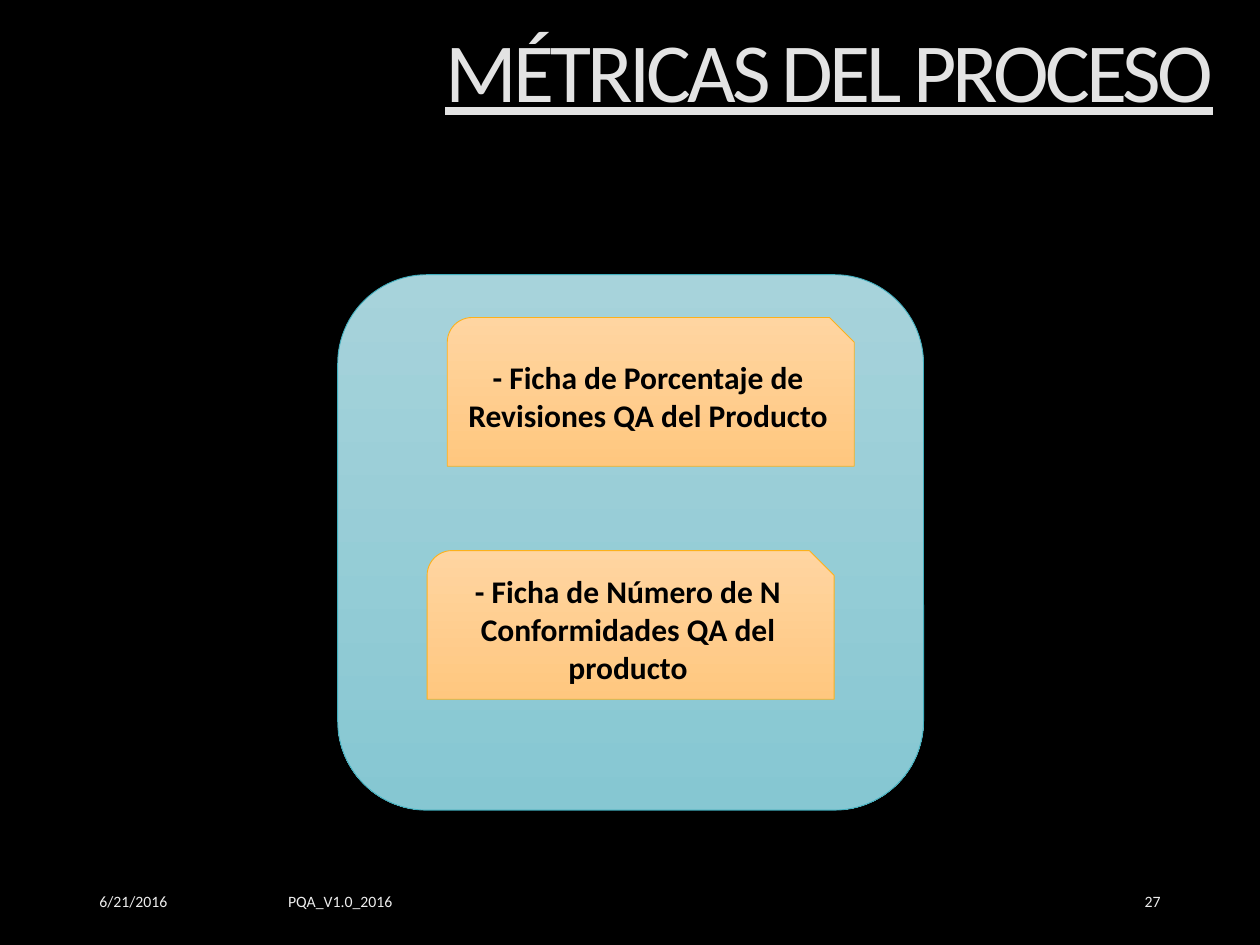
from dataclasses import dataclass

from pptx import Presentation
from pptx.dml.color import RGBColor
from pptx.enum.shapes import MSO_SHAPE
from pptx.enum.text import MSO_ANCHOR, MSO_AUTO_SIZE, PP_ALIGN
from pptx.util import Inches, Pt


@dataclass(frozen=True)
class Theme:
    """Colours, font and type sizes of the slide."""
    font: str = "Calibri"
    background: str = "000000"
    title: str = "E3E3E3"
    footer: str = "EDEDED"
    card_text: str = "000000"
    panel_fill: tuple = ("A7D3DB", "86C7D2")
    panel_line: str = "41AEBD"
    card_fill: tuple = ("FFD5A1", "FFC77F")
    card_line: str = "FCB11C"
    title_size: int = 48
    card_size: int = 18
    footer_size: int = 9


THEME = Theme()


def write(s, text, size, color, align, anchor=MSO_ANCHOR.MIDDLE, **formats):
    """Put one formatted paragraph in a shape and return its run."""
    tf = s.text_frame
    frame = {"word_wrap": True, "auto_size": MSO_AUTO_SIZE.NONE,
             "vertical_anchor": anchor}
    for name, value in frame.items():
        setattr(tf, name, value)
    p = tf.paragraphs[0]
    p.alignment = align
    r = p.add_run()
    r.text = text
    for name, value in {"name": THEME.font, "size": Pt(size), **formats}.items():
        setattr(r.font, name, value)
    r.font.color.rgb = RGBColor.from_string(color)
    return r


def add_title(slide, text):
    """Fill and place the title placeholder."""
    s = slide.shapes.title
    box = {"left": 0.28, "top": 0.19, "width": 9.45, "height": 1.11}
    for name, value in box.items():
        setattr(s, name, Inches(value))
    r = write(s, text, THEME.title_size, THEME.title, PP_ALIGN.RIGHT,
              MSO_ANCHOR.TOP, underline=True)
    r._r.get_or_add_rPr().set("spc", "-220")
    s.text_frame.paragraphs[0].line_spacing = 0.9


def add_footer(slide, text, left, width, align):
    """Add one text of the footer row."""
    s = slide.shapes.add_textbox(Inches(left), Inches(6.95), Inches(width), Inches(0.4))
    write(s, text, THEME.footer_size, THEME.footer, align)


def add_block(slide, kind, box, fill, line):
    """Add a preset shape with a vertical gradient and a thin outline."""
    s = slide.shapes.add_shape(kind, *map(Inches, box))
    s.shadow.inherit = False
    s.fill.gradient()
    s.fill.gradient_angle = 270
    for stop, color in zip(s.fill.gradient_stops, fill):
        stop.color.rgb = RGBColor.from_string(color)
    s.line.color.rgb = RGBColor.from_string(line)
    s.line.width = Pt(0.5)
    return s


def add_card(slide, text, left, top):
    """Add a metric card with its label."""
    s = add_block(slide, MSO_SHAPE.SNIP_ROUND_RECTANGLE, (left, top, 3.23, 1.18),
                  THEME.card_fill, THEME.card_line)
    write(s, text, THEME.card_size, THEME.card_text, PP_ALIGN.CENTER, bold=True)


def main():
    """Build and save the slide."""
    prs = Presentation()
    prs.slide_width, prs.slide_height = Inches(10), Inches(7.5)
    slide = prs.slides.add_slide(prs.slide_layouts[5])
    slide.background.fill.solid()
    slide.background.fill.fore_color.rgb = RGBColor.from_string(THEME.background)

    add_title(slide, "MÉTRICAS DEL PROCESO")
    add_footer(slide, "6/21/2016", 0.69, 2.25, PP_ALIGN.LEFT)
    add_footer(slide, "PQA_V1.0_2016", 0.72, 3.96, PP_ALIGN.CENTER)
    add_footer(slide, "27", 7.06, 2.25, PP_ALIGN.RIGHT)

    add_block(slide, MSO_SHAPE.ROUNDED_RECTANGLE, (2.68, 2.18, 4.65, 4.25),
              THEME.panel_fill, THEME.panel_line)
    add_card(slide, "- Ficha de Porcentaje de Revisiones QA del Producto", 3.55, 2.52)
    add_card(slide, "- Ficha de Número de N Conformidades QA del producto", 3.39, 4.37)
    prs.save("out.pptx")


if __name__ == "__main__":
    main()
